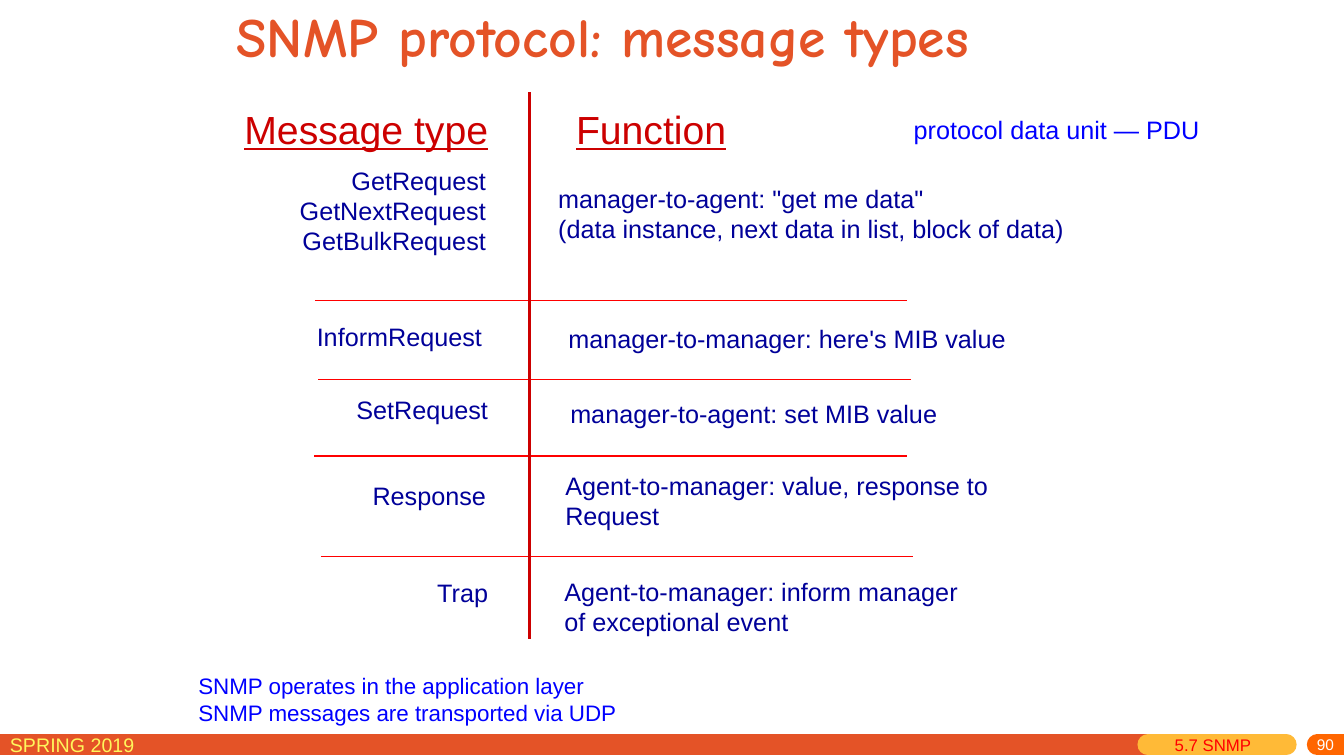
from lxml import etree
from pptx import Presentation
from pptx.dml.color import RGBColor
from pptx.enum.shapes import MSO_CONNECTOR as Connector
from pptx.enum.text import MSO_ANCHOR as Anchor, PP_ALIGN as Align
from pptx.oxml.ns import qn
from pptx.util import Pt

NAVY, RED, BRIGHT_RED, BLUE, ORANGE = "000099", "CC0000", "FF0000", "0000FF", "E45327"
FOOTER_Y = 532

# message type, its right edge and top; function, its left edge and top
MESSAGES = [
    ("GetRequest\nGetNextRequest\nGetBulkRequest", 354.2, 114.5,
     'manager-to-agent: "get me data"\n(data instance, next data in list, block of data)', 391.7, 127.4),
    ("InformRequest", 351.4, 226.1,
     "manager-to-manager: here's MIB value", 398.9, 227.5),
    ("SetRequest", 355.7, 277.9,
     "manager-to-agent: set MIB value", 400.3, 280.8),
    ("Response", 354.2, 339.8,
     "Agent-to-manager: value, response to\nRequest", 396.7, 332.6),
    ("Trap", 355.7, 409,
     "Agent-to-manager: inform manager\nof exceptional event", 396, 408.2),
]
# left end and height of each line between rows
ROW_RULES = [(224.9, 214.6), (227.5, 270.9), (224.6, 325.6), (229.2, 397.7)]
RULE_LENGTH = 423


def rgb(color):
    return RGBColor.from_string(color)


def add_text(slide, text, left, top, width, height, size=18, color=NAVY, font="Arial",
             bold=False, underline=False, align=Align.LEFT, anchor=Anchor.TOP):
    """Place text; each line of it becomes a paragraph."""
    frame = slide.shapes.add_textbox(Pt(left), Pt(top), Pt(width), Pt(height)).text_frame
    frame.word_wrap = True
    frame.vertical_anchor = anchor
    frame.text = text
    for paragraph in frame.paragraphs:
        paragraph.alignment = align
        style = paragraph.font
        style.name, style.size = font, Pt(size)
        style.bold, style.underline = bold, underline
        style.color.rgb = rgb(color)


def add_line(slide, x1, y1, x2, y2, color, width=1, rounded=False):
    line = slide.shapes.add_connector(Connector.STRAIGHT, Pt(x1), Pt(y1), Pt(x2), Pt(y2))
    line.line.color.rgb = rgb(color)
    line.line.width = Pt(width)
    if rounded:
        line.line._get_or_add_ln().set("cap", "rnd")
    etree.SubElement(line._element.spPr, qn("a:effectLst"))


def add_footer(slide):
    for start, end, color in [(0, 820, ORANGE), (820, 918.7, "FFBA37"), (941, 960, "FF6600")]:
        add_line(slide, start, FOOTER_Y, end, FOOTER_Y, color, width=15, rounded=True)
    add_text(slide, "SPRING 2019", 0, 520, 165, 22, size=14, color="FFF65C")
    add_text(slide, "5.7 SNMP", 832, 521.3, 73, 22, size=12, color=BRIGHT_RED)
    add_text(slide, "90", 900, 521.5, 60, 20, size=11, color="FFFFFF",
             align=Align.RIGHT, anchor=Anchor.MIDDLE)


def add_message_table(slide):
    add_text(slide, "Message type", 155.7, 72, 200, 41, size=28, color=RED,
             underline=True, align=Align.RIGHT)
    add_text(slide, "Function", 404.4, 71.6, 140, 41, size=28, color=RED, underline=True)
    for left, y in ROW_RULES:
        add_line(slide, left, y, left + RULE_LENGTH, y, BRIGHT_RED)
    add_line(slide, 378, 66, 378, 456.5, RED, width=2)
    for name, right, name_top, function, left, function_top in MESSAGES:
        name_height, function_height = (7.2 + 21.6 * len(text.splitlines())
                                        for text in (name, function))
        add_text(slide, name, right - 203, name_top, 203, name_height, align=Align.RIGHT)
        add_text(slide, function, left, function_top, 390, function_height)


def main():
    deck = Presentation()
    deck.slide_width, deck.slide_height = Pt(960), Pt(540)
    slide = deck.slides.add_slide(deck.slide_layouts[6])
    add_footer(slide)
    add_text(slide, "SNMP protocol: message types", 162, 0, 641.5, 51, size=39.6,
             color=ORANGE, font="Comic Neue", bold=True, anchor=Anchor.MIDDLE)
    add_message_table(slide)
    add_text(slide, "SNMP operates in the application layer\nSNMP messages are transported via UDP",
             134.6, 476.6, 637, 46, size=16, color=BLUE)
    add_text(slide, "protocol data unit — PDU", 645.6, 77.8, 225, 29, color=BLUE)
    deck.save("out.pptx")


if __name__ == "__main__":
    main()
